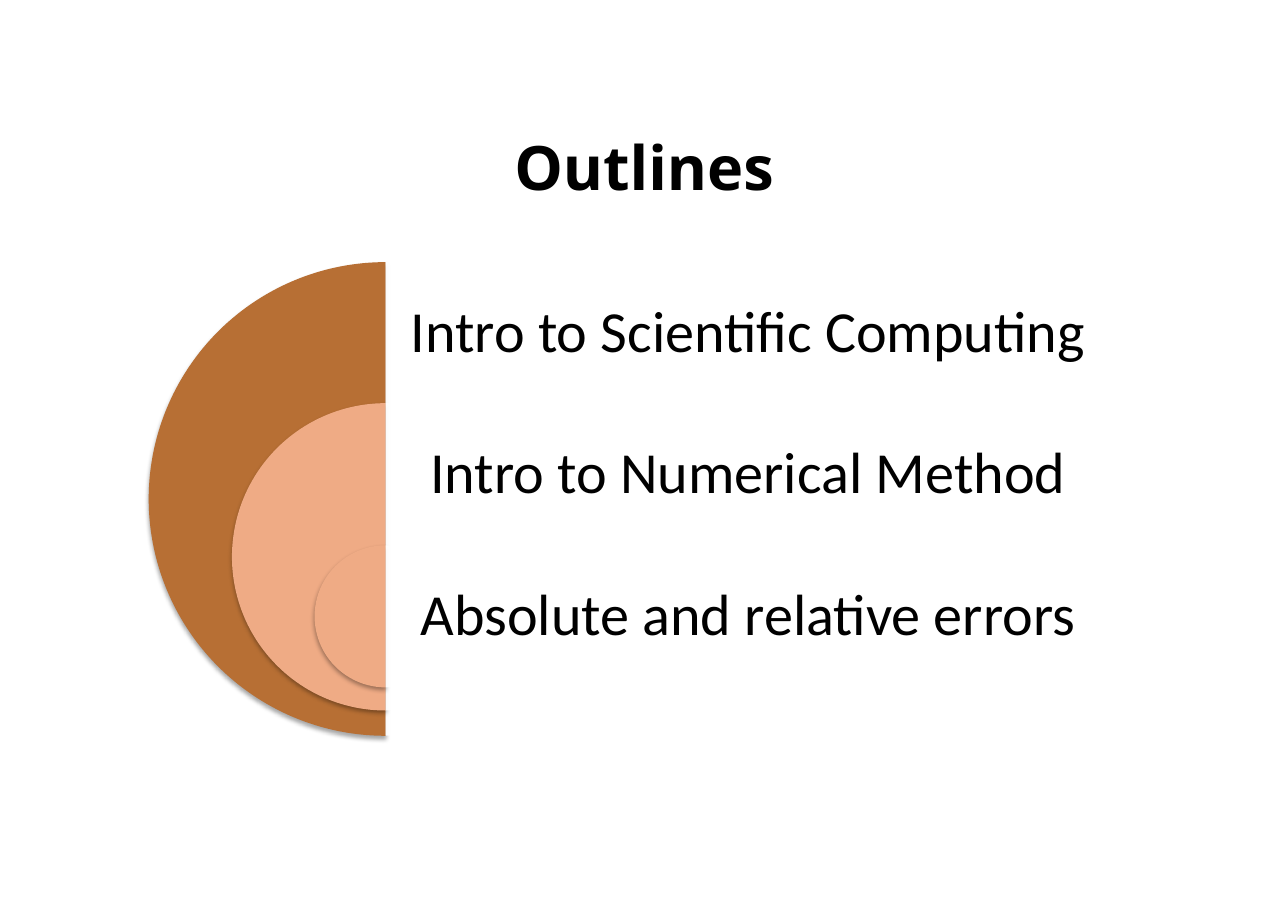
from lxml.etree import SubElement
from pptx import Presentation
from pptx.dml.color import RGBColor
from pptx.enum.shapes import MSO_SHAPE
from pptx.enum.text import MSO_ANCHOR, PP_ALIGN
from pptx.oxml.ns import qn
from pptx.util import Inches, Pt


def color(code):
    return RGBColor.from_string(code)


class Sheet:
    """Holds the style and the current slide."""

    ink = "000000"
    veil = "FFFFFF"

    def __init__(self, slide):
        self.slide = slide

    def shape(self, kind, x, y, w, h, fill):
        item = self.slide.shapes.add_shape(
            kind, Inches(x), Inches(y), Inches(w), Inches(h))
        item.shadow.inherit = False
        item.fill.solid()
        item.fill.fore_color.rgb = color(fill)
        item.line.fill.background()
        return item

    def pie(self, edge, y, size, fill):
        """Left half of a disc, with its flat side on the edge."""
        item = self.shape(MSO_SHAPE.PIE, edge - size / 2, y, size, size, fill)
        item.adjustments[0] = 54
        item.adjustments[1] = 162
        # Soft shadow straight below
        effects = item._element.spPr.find(qn("a:effectLst"))
        shade = SubElement(
            effects, qn("a:outerShdw"), blurRad=str(Pt(3.1)),
            dist=str(Pt(1.8)), dir="5400000", rotWithShape="0")
        tint = SubElement(shade, qn("a:srgbClr"), val=self.ink)
        SubElement(tint, qn("a:alpha"), val="35000")

    def panel(self, x, y, w, h):
        """Nearly opaque white panel."""
        item = self.shape(MSO_SHAPE.RECTANGLE, x, y, w, h, self.veil)
        tint = item._element.spPr.find(qn("a:solidFill"))[0]
        SubElement(tint, qn("a:alpha"), val="90000")

    def text(self, words, x, y, w, h, font, size, bold=False,
             pad=0.16, space=0.9):
        box = self.slide.shapes.add_textbox(
            Inches(x), Inches(y), Inches(w), Inches(h))
        frame = box.text_frame
        frame.word_wrap = True
        frame.vertical_anchor = MSO_ANCHOR.MIDDLE
        frame.margin_left = frame.margin_right = Inches(pad)
        frame.margin_top = frame.margin_bottom = Inches(pad)
        para = frame.paragraphs[0]
        para.alignment = PP_ALIGN.CENTER
        para.line_spacing = space
        run = para.add_run()
        run.text = words
        run.font.name = font
        run.font.size = Pt(size)
        run.font.bold = bold
        run.font.color.rgb = color(self.ink)


def main():
    deck = Presentation()
    deck.slide_width = Inches(11.69)
    deck.slide_height = Inches(8.27)
    sheet = Sheet(deck.slides.add_slide(deck.slide_layouts[6]))

    # Title
    sheet.text("Outlines", 1.42, 0.82, 8.85, 1.38, "Open Sans", 40,
               bold=True, pad=0.06, space=1.0)

    # Nested half discs, each with its topic
    edge, width, row = 3.5, 6.58, 1.29
    topics = [
        ("Intro to Scientific Computing", 2.38, 4.3, "B76F34"),
        ("Intro to Numerical Method", 3.66, 2.79, "EFAB85"),
        ("Absolute and relative errors", 4.95, 1.29, "EFAB85"),
    ]
    for words, top, size, fill in topics:
        sheet.pie(edge, top, size, fill)
        sheet.panel(edge, top, width, size)
        sheet.text(words, edge, top, width, row, "Calibri", 38)

    deck.save("out.pptx")


if __name__ == "__main__":
    main()
